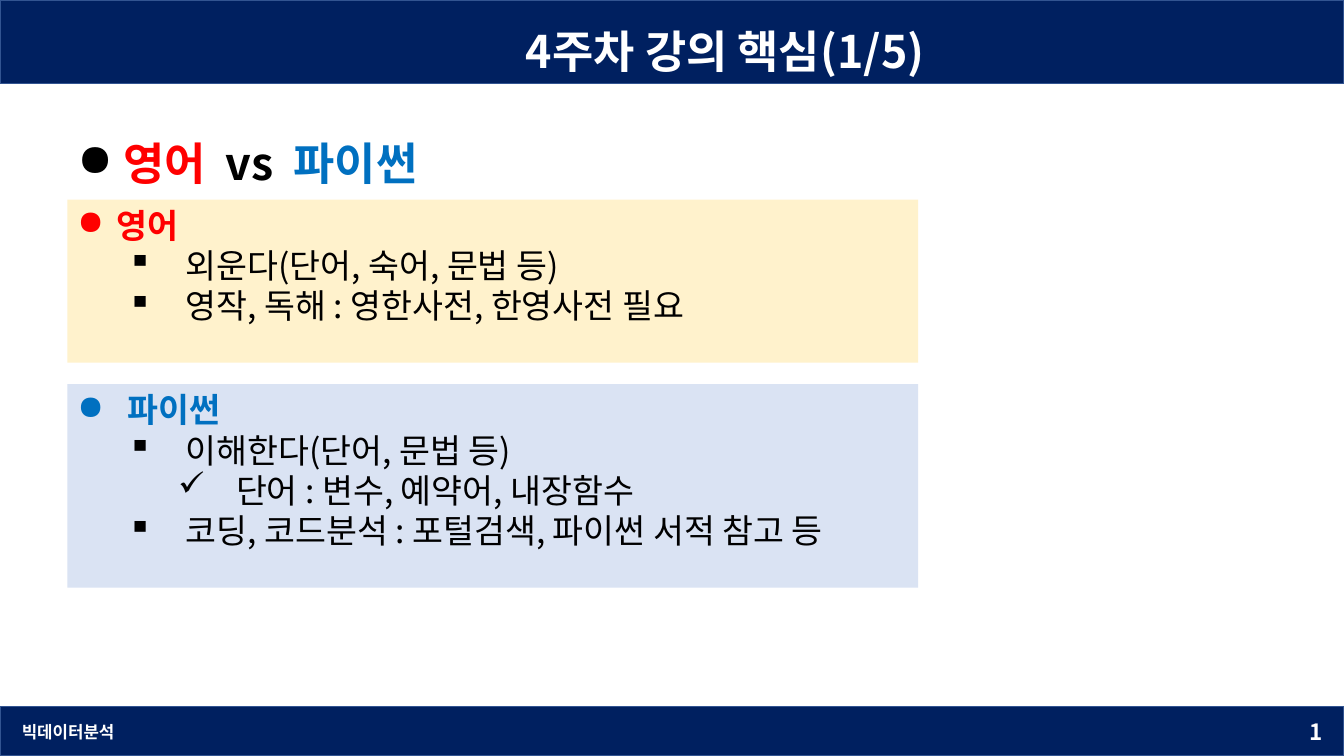
from lxml.etree import SubElement
from pptx import Presentation
from pptx.dml.color import RGBColor
from pptx.enum.shapes import MSO_SHAPE as Shape
from pptx.enum.text import MSO_ANCHOR as Anchor, MSO_AUTO_SIZE as AutoSize, PP_ALIGN as Align
from pptx.oxml.ns import qn
from pptx.util import Cm, Pt

FONT = "Noto Sans CJK KR"
NAVY = RGBColor(0x00, 0x20, 0x60)
BAR_EDGE = RGBColor(0x32, 0x54, 0x91)
CREAM = RGBColor(0xFF, 0xF2, 0xCC)
PALE_BLUE = RGBColor(0xDA, 0xE3, 0xF3)
WHITE = RGBColor(0xFF, 0xFF, 0xFF)
BLACK = RGBColor(0x00, 0x00, 0x00)
RED = RGBColor(0xFF, 0x00, 0x00)
BLUE = RGBColor(0x00, 0x70, 0xC0)

SLIDE_WIDTH, SLIDE_HEIGHT = 33.87, 19.05
CONTENT_LEFT, PANEL_WIDTH = 1.7, 21.44
INDENT_STEP = 1.27
BULLETS = ("●", "▪", "✓")


def place(shape, left, top, width, height):
    shape.left, shape.top = Cm(left), Cm(top)
    shape.width, shape.height = Cm(width), Cm(height)


def prepare_frame(shape, anchor=Anchor.TOP, wrap=True):
    frame = shape.text_frame
    frame.auto_size = AutoSize.NONE
    frame.word_wrap = wrap
    frame.vertical_anchor = anchor
    return frame


def add_run(paragraph, text, size, color, bold=True, spacing=0):
    run = paragraph.add_run()
    run.text = text
    font = run.font
    font.size, font.bold = Pt(size), bold
    font.color.rgb = color
    font.name = FONT
    properties = run._r.get_or_add_rPr()
    SubElement(properties, qn("a:ea"), typeface=FONT)
    if spacing:
        properties.set("spc", str(spacing * 100))


def set_bullet(paragraph, level, hanging, margin):
    paragraph.level = level
    properties = paragraph._p.get_or_add_pPr()
    properties.set("marL", str(Cm(margin)))
    properties.set("indent", str(-Cm(hanging)))
    SubElement(properties, qn("a:buChar"), char=BULLETS[level])


def add_rectangle(slide, left, top, width, height, fill, edge=None):
    rectangle = slide.shapes.add_shape(
        Shape.RECTANGLE, Cm(left), Cm(top), Cm(width), Cm(height))
    rectangle.shadow.inherit = False
    rectangle.fill.solid()
    rectangle.fill.fore_color.rgb = fill
    if edge is None:
        rectangle.line.fill.background()
    else:
        rectangle.line.color.rgb = edge
        rectangle.line.width = Pt(1)
    return rectangle


def add_label(slide, text, left, width, size, align):
    label = slide.shapes.add_textbox(Cm(left), Cm(17.93), Cm(width), Cm(1.02))
    paragraph = prepare_frame(label, Anchor.MIDDLE).paragraphs[0]
    paragraph.alignment = align
    add_run(paragraph, text, size, WHITE)


def add_title(slide, text):
    title = slide.shapes.title
    place(title, 13, 0.48, 11.46, 1.63)
    paragraph = prepare_frame(title, wrap=False).paragraphs[0]
    paragraph.alignment = Align.LEFT
    paragraph.line_spacing = 1.0
    add_run(paragraph, text, 32, WHITE)
    # Bring the title in front of the top bar
    title.element.getparent().append(title.element)


def add_heading(slide):
    heading = slide.shapes.add_textbox(
        Cm(CONTENT_LEFT), Cm(2.62), Cm(10.21), Cm(2.03))
    paragraph = prepare_frame(heading, wrap=False).paragraphs[0]
    paragraph.line_spacing = 1.5
    set_bullet(paragraph, 0, 0.79, 0.79)
    # A widened space separates the words
    for text, color, spacing in ((" ", BLACK, 0), ("영어", RED, 0), (" ", RED, 7),
                                 ("vs", BLACK, 0), (" ", BLACK, 7), ("파이썬", BLUE, 0)):
        add_run(paragraph, text, 32, color, spacing=spacing)


def add_panel(slide, top, height, fill, topic, topic_color, topic_indent, points):
    panel = add_rectangle(slide, CONTENT_LEFT, top, PANEL_WIDTH, height, fill)
    frame = prepare_frame(panel)
    paragraph = frame.paragraphs[0]
    paragraph.alignment = Align.LEFT
    set_bullet(paragraph, 0, topic_indent, topic_indent)
    add_run(paragraph, topic, 24, topic_color)
    for level, text in points:
        paragraph = frame.add_paragraph()
        paragraph.alignment = Align.LEFT
        set_bullet(paragraph, level, INDENT_STEP, INDENT_STEP * (level + 1))
        add_run(paragraph, text, 24, BLACK, bold=False)


def main():
    deck = Presentation()
    deck.slide_width, deck.slide_height = Cm(SLIDE_WIDTH), Cm(SLIDE_HEIGHT)
    slide = deck.slides.add_slide(deck.slide_layouts[5])

    # Top and bottom bars
    for top, height in ((0, 2.11), (17.81, 1.24)):
        add_rectangle(slide, 0, top, SLIDE_WIDTH, height, NAVY, BAR_EDGE)
    add_label(slide, "빅데이터분석", 0.3, 11.43, 12, Align.LEFT)
    add_label(slide, "1", 25.96, 7.62, 16, Align.RIGHT)

    # Title and heading
    add_title(slide, "4주차 강의 핵심(1/5)")
    add_heading(slide)

    # English and Python panels
    add_panel(slide, 5.03, 4.11, CREAM, " 영어", RED, 0.79, (
        (1, " 외운다(단어, 숙어, 문법 등)"),
        (1, " 영작, 독해 : 영한사전, 한영사전 필요"),
    ))
    add_panel(slide, 9.68, 5.13, PALE_BLUE, "파이썬", BLUE, INDENT_STEP, (
        (1, " 이해한다(단어, 문법 등)"),
        (2, " 단어 : 변수, 예약어, 내장함수"),
        (1, " 코딩, 코드분석 : 포털검색, 파이썬 서적 참고 등"),
    ))

    deck.save("out.pptx")


if __name__ == "__main__":
    main()
